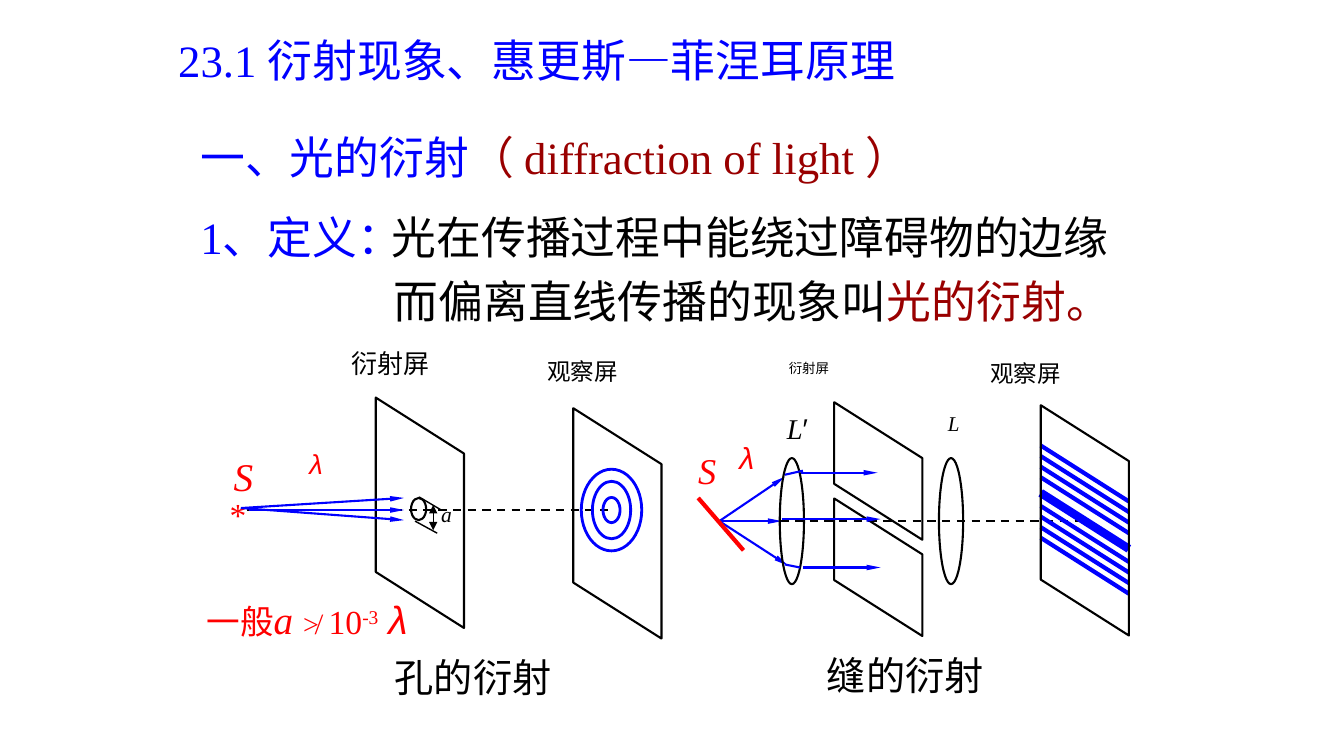
from dataclasses import dataclass

from lxml import etree
from pptx import Presentation
from pptx.dml.color import RGBColor
from pptx.enum.dml import MSO_LINE
from pptx.enum.shapes import MSO_CONNECTOR, MSO_SHAPE
from pptx.oxml.ns import qn
from pptx.util import Inches, Pt

OVAL = MSO_SHAPE.OVAL
STRAIGHT = MSO_CONNECTOR.STRAIGHT
DASH = MSO_LINE.DASH
COLS, ROWS = 133.4, 75
CELL = Inches(0.1)


@dataclass(frozen=True)
class Theme:
    blue: str = "0000FF"
    red: str = "FF0000"
    wine: str = "990000"
    black: str = "000000"
    serif: str = "Times New Roman"
    sans: str = "Arial"
    han: str = "Noto Sans CJK SC"
    head: float = 32
    title: float = 28
    body: float = 24
    label: float = 16.8
    fine: float = 1
    thin: float = 1.5
    mid: float = 2
    bold: float = 3
    heavy: float = 6


T = Theme()


def style(font, size=None, name=None, color=None, italic=None, base=None):
    if color:
        font.color.rgb = RGBColor.from_string(color)
    if size:
        font.size = Pt(size)
    if name:
        font.name = name
    if italic is not None:
        font.italic = italic
    if base:
        font._element.set("baseline", base)


@dataclass
class Region:
    slide: object
    left: float
    top: float

    def spot(self, x, y):
        return round((self.left + x) * CELL), round((self.top + y) * CELL)

    def text(self, x, y, wide, tall, runs, size, color=T.black, name=T.serif,
             italic=None, pad=(0.1, 0.1), lead=None, wrap=True):
        box = self.slide.shapes.add_textbox(
            *self.spot(x, y), round(wide * CELL), round(tall * CELL))
        frame = box.text_frame
        frame.word_wrap = wrap
        frame.margin_left = frame.margin_right = round(pad[0] * CELL)
        frame.margin_top = frame.margin_bottom = round(pad[1] * CELL)
        para = frame.paragraphs[0]
        if lead:
            para.line_spacing = lead
        style(para.font, size, name, color, italic)
        base = para._p.pPr.find(qn("a:defRPr"))
        etree.SubElement(base, qn("a:ea")).set("typeface", T.han)
        for words, look in [(runs, {})] if isinstance(runs, str) else runs:
            run = para.add_run()
            run.text = words
            style(run.font, **look)

    def line(self, x1, y1, x2, y2, color=T.black, width=T.thin,
             dash=None, ends=(), span=("sm", "lg")):
        link = self.slide.shapes.add_connector(
            STRAIGHT, *self.spot(x1, y1), *self.spot(x2, y2))
        link.line.color.rgb = RGBColor.from_string(color)
        link.line.width = Pt(width)
        if dash:
            link.line.dash_style = dash
        props = link._element.spPr
        stroke = props.find(qn("a:ln"))
        for end in ends:
            tip = etree.SubElement(stroke, qn(f"a:{end}"))
            for key, value in zip(("type", "w", "len"), ("triangle", *span)):
                tip.set(key, value)
        etree.SubElement(props, qn("a:effectLst"))

    def ray(self, x1, y1, x2, y2):
        self.line(x1, y1, x2, y2, T.blue, ends=("tailEnd",))

    def trim(self, shape, color, width):
        shape.shadow.inherit = False
        shape.fill.background()
        shape.line.color.rgb = RGBColor.from_string(color)
        shape.line.width = Pt(width)

    def ring(self, x, y, wide, tall, color=T.black, width=T.thin):
        oval = self.slide.shapes.add_shape(
            OVAL, *self.spot(x - wide / 2, y - tall / 2),
            round(wide * CELL), round(tall * CELL))
        self.trim(oval, color, width)

    def panel(self, x, y, tall, wide=8.75, slant=5.55):
        pen = self.slide.shapes.build_freeform(*self.spot(x, y))
        pen.add_line_segments([self.spot(x + wide, y + slant),
                               self.spot(x + wide, y + slant + tall),
                               self.spot(x, y + tall)], close=True)
        self.trim(pen.convert_to_shape(), T.black, T.thin)


def intro(slide, left, top):
    area = Region(slide, left, top)
    pad = (1, 0.5)
    area.text(0, 0, 81.7, 6.4, "23.1 衍射现象、惠更斯—菲涅耳原理", T.head, T.blue, pad=pad)
    area.text(2.2, 9.6, 79.9, 6.4,
              [("一、光的衍射", {"color": T.blue}),
               ("（ diffraction of light ）", {"color": T.wine})], T.head, pad=pad)
    area.text(2.2, 17.5, 25.6, 6.4, "1、定义：", T.head, T.blue, pad=pad)
    area.text(21.2, 17.5, 80.5, 6.4, "光在传播过程中能绕过障碍物的边缘",
              T.head, name=T.han, pad=pad)
    area.text(21.4, 23.9, 77.3, 6.4,
              [("而偏离直线传播的现象叫", {"color": T.black}),
               ("光的衍射。", {"color": T.wine})], T.head, name=T.han, pad=pad)


def hole(slide, left, top):
    area = Region(slide, left, top)
    mid = 15.6
    area.line(4.5, mid, 40.8, mid, dash=DASH)
    for wide, tall in ((1.7, 2.5), (3.8, 5.7), (6, 8.1)):
        area.ring(40.7, mid, wide, tall, T.blue, T.mid)
    area.text(2.7, 13.9, 3.3, 4.3, "*", T.body, T.red)
    area.text(3.1, 9.8, 3.6, 5.2, "S", T.title, T.red, italic=True)
    area.panel(17.3, 4.45, 17.3)
    area.panel(36.9, 5.5, 17.3)
    area.text(14.8, 0, 12.9, 3.6, "衍射屏", 18.6, lead=0.8)
    area.text(34.2, 0.9, 12.6, 3.3, "观察屏", T.label, lead=0.8)
    area.ring(21.55, 15.5, 1.5, 2.2)
    area.line(21.6, 14.3, 23.8, 15.6, width=T.fine)
    area.line(21.2, 16.7, 23.4, 17.9, width=T.fine)
    area.line(23, 15.1, 23, 17.6, width=T.fine,
              ends=("headEnd", "tailEnd"), span=("med", "med"))
    area.text(23.7, 15.1, 3.7, 3.1, "a", 15.4, italic=True, lead=0.8)
    area.text(10.6, 9.9, 3.9, 3.7, "λ", 19.6, T.red, T.sans, True, lead=0.8)
    area.text(0.4, 24, 33.5, 5.1,
              [("一般", {"size": T.body}),
               ("a ", {"size": T.title, "italic": True}),
               ("≯", {"size": 20}),
               (" ", {"size": T.title}),
               ("10", {"size": T.body}),
               ("-3", {"size": T.body, "base": "30000"}),
               (" ", {"size": T.title, "italic": True}),
               ("λ", {"size": T.title, "italic": True, "name": T.sans})],
              T.body, T.red)
    for x, y, tip in ((4.7, mid, mid), (4, 15.4, 14.4), (3.9, 15.4, 16.6)):
        area.ray(x, y, 20.1, tip)
    area.text(18.2, 29.3, 17.5, 5.7, "孔的衍射", T.title, pad=(1, 0.5), wrap=False)


def slit(slide, left, top):
    area = Region(slide, left, top)
    mid, edge = 16.7, 34.3
    area.line(2.6, mid, 38.8, mid, dash=DASH)
    area.text(4.3, 9.2, 3.9, 4, "λ", 21.7, T.red, T.sans, True, lead=0.8)
    for x, y in ((8.6, mid), (8.9, 12.3), (9.2, 21.1)):
        area.ray(2.4, mid, x, y)
    bands = [(13.9, T.heavy)]
    bands += [(start + 1.05 * k, T.bold) for start in (9.2, 15.2) for k in range(4)]
    for y, width in bands:
        area.line(edge, y, edge + 8.75, y + 5.55, T.blue, width)
    area.text(9.2, 0.9, 12, 1.9, "衍射屏", 9.6, lead=0.8)
    area.text(29.2, 1.1, 11.9, 3.2, "观察屏", T.label, lead=0.8)
    for y in (4.9, 14.45):
        area.panel(13.8, y, 8.1)
    for x in (9.6, 25.4):
        area.ring(x, mid, 2.4, 12.5)
    area.panel(edge, 5.2, 17.3)
    area.text(9, 6.1, 3.9, 3.8,
              [("L", {"italic": True}), ("′", {"name": T.sans})], 20.4, lead=0.9)
    area.text(25, 6.1, 2.4, 3.1, "L", 15, italic=True, lead=0.8)
    area.text(0.2, 9.9, 4.8, 4.7, "S", 25.9, T.red, italic=True, lead=0.9)
    area.line(0.3, 14.4, 4.8, 19.6, T.red, T.bold)
    area.line(8.9, 21, 10.4, 21.3, T.blue)
    area.line(8.9, 12.1, 10.7, 11.7, T.blue)
    for x, y, tip in ((8.6, 16.5, 18.4), (10.7, 21.3, 18.4), (10.5, 11.9, 18.1)):
        area.ray(x, y, tip, y)
    area.text(12.1, 29.1, 17.5, 5.7, "缝的衍射", T.title, pad=(1, 0.5), wrap=False)


def main():
    deck = Presentation()
    deck.slide_width = round(COLS * CELL)
    deck.slide_height = ROWS * CELL
    slide = deck.slides.add_slide(deck.slide_layouts[6])
    intro(slide, 16.7, 2.8)
    hole(slide, 20, 35)
    slit(slide, 69, 35)
    deck.save("out.pptx")


if __name__ == "__main__":
    main()
